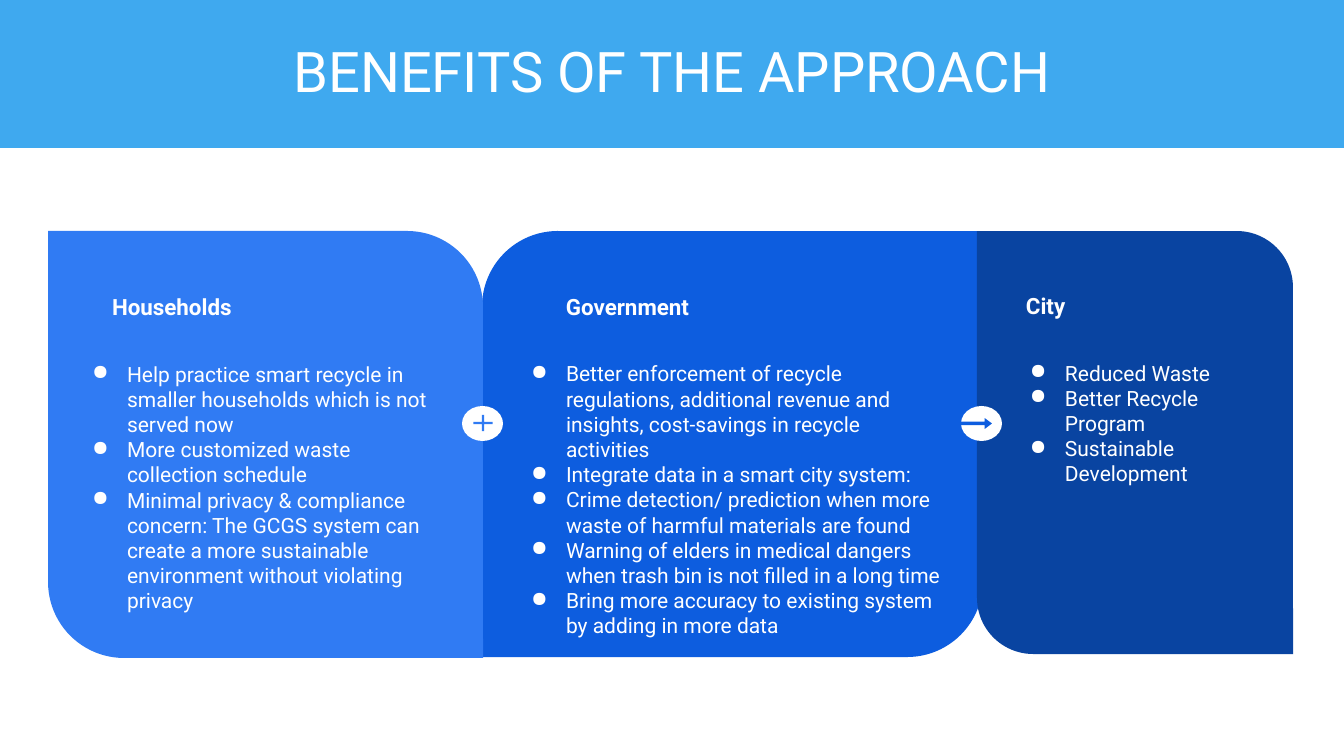
"""Build the slide on the benefits of the approach."""
from lxml import etree
from pptx import Presentation
from pptx.dml.color import RGBColor
from pptx.enum.shapes import MSO_SHAPE
from pptx.enum.text import MSO_ANCHOR, PP_ALIGN
from pptx.oxml.ns import qn
from pptx.util import Pt

EMU_PER_PX = 914400 / 100.8
RECTANGLE, PANEL = MSO_SHAPE.RECTANGLE, MSO_SHAPE.ROUND_2_DIAG_RECTANGLE
OVAL, ARROW, PLUS = MSO_SHAPE.OVAL, MSO_SHAPE.RIGHT_ARROW, MSO_SHAPE.MATH_PLUS
LEFT, CENTER = PP_ALIGN.LEFT, PP_ALIGN.CENTER
TOP, MIDDLE = MSO_ANCHOR.TOP, MSO_ANCHOR.MIDDLE

COLORS = {
    "banner": "3FA9EF",
    "households": "307BF3",
    "government": "0D5DDF",
    "city": "0944A1",
    "white": "FFFFFF",
}
ROUND_MAIN, ROUND_OTHER = (0.178, 0), (0, 0.178)

PANELS = [
    ("government", (482, 231, 501, 426), ROUND_MAIN,
     "Government", (553, 280, 374, 125), (503, 348, 458, 222),
     ["Better enforcement of recycle regulations, additional revenue and "
      "insights, cost-savings in recycle activities",
      "Integrate data in a smart city system:",
      "Crime detection/ prediction when more waste of harmful materials are found",
      "Warning of elders in medical dangers when trash bin is not filled in a long time",
      "Bring more accuracy to existing system by adding in more data"]),
    ("households", (48, 231, 435, 427), ROUND_OTHER,
     "Households", (99, 280, 325, 125), (64, 348, 380, 211),
     ["Help practice smart recycle in smaller households which is not served now",
      "More customized waste collection schedule",
      "Minimal privacy & compliance concern: The GCGS system can create a more "
      "sustainable environment without violating privacy"]),
    ("city", (977, 231, 316, 423), ROUND_OTHER,
     "City", (1013, 279, 254, 124), (1002, 347, 277, 196),
     ["Reduced Waste", "Better Recycle Program", "Sustainable Development"]),
]
BADGES = [
    ((961, 406, 41, 35), ARROW, (961, 418, 31, 11), "government", (0.32, 0.67)),
    ((462, 406, 41, 35), PLUS, (470, 412, 26, 22), "households", (0.099,)),
]


def px(length):
    return round(length * EMU_PER_PX)


class Page:
    """Holds the text style and the current slide."""

    def __init__(self, deck, font):
        self.font = font
        self.slide = deck.slides.add_slide(deck.slide_layouts[6])

    def shape(self, kind, area, color, adjustments=()):
        shape = self.slide.shapes.add_shape(kind, *map(px, area))
        shape.shadow.inherit = False
        shape.fill.solid()
        shape.fill.fore_color.rgb = RGBColor.from_string(COLORS[color])
        shape.line.fill.background()
        for index, value in enumerate(adjustments):
            shape.adjustments[index] = value
        return shape

    def text(self, area, lines, **style):
        box = self.slide.shapes.add_textbox(*map(px, area))
        self.fill_text(box.text_frame, lines, **style)

    def fill_text(self, frame, lines, size, bold=False, bullets=False, align=LEFT,
                  anchor=TOP, insets=(13, 13), spacing=None):
        frame.word_wrap = True
        frame.vertical_anchor = anchor
        frame.margin_left = frame.margin_right = px(insets[0])
        frame.margin_top = frame.margin_bottom = px(insets[1])
        for index, line in enumerate(lines):
            para = frame.add_paragraph() if index else frame.paragraphs[0]
            para.alignment = align
            if spacing:
                para.line_spacing = spacing
            if bullets:
                self.bullet(para)
            span = para.add_run()
            span.text = line
            span.font.name = self.font
            span.font.size = Pt(size)
            span.font.bold = bold
            span.font.color.rgb = RGBColor.from_string(COLORS["white"])

    def bullet(self, para):
        properties = para._p.get_or_add_pPr()
        properties.set("marL", str(px(50)))
        properties.set("indent", str(px(-35)))
        color = etree.SubElement(properties, qn("a:buClr"))
        etree.SubElement(color, qn("a:srgbClr"), val=COLORS["white"])
        etree.SubElement(properties, qn("a:buChar"), char="●")


def main():
    deck = Presentation()
    deck.slide_width, deck.slide_height = px(1344), px(756)
    page = Page(deck, "Roboto")

    banner = page.shape(RECTANGLE, (0, 0, 1344, 148), "banner")
    page.fill_text(banner.text_frame, ["BENEFITS OF THE APPROACH"], size=40,
                   align=CENTER, anchor=MIDDLE, insets=(10, 5), spacing=0.9)

    for color, area, corners, heading, heading_area, list_area, benefits in PANELS:
        page.shape(PANEL, area, color, corners)
        page.text(heading_area, [heading], size=16, bold=True)
        page.text(list_area, benefits, size=15, bullets=True)

    for disc_area, symbol, symbol_area, color, adjustments in BADGES:
        page.shape(OVAL, disc_area, "white")
        page.shape(symbol, symbol_area, color, adjustments)

    deck.save("out.pptx")


if __name__ == "__main__":
    main()
